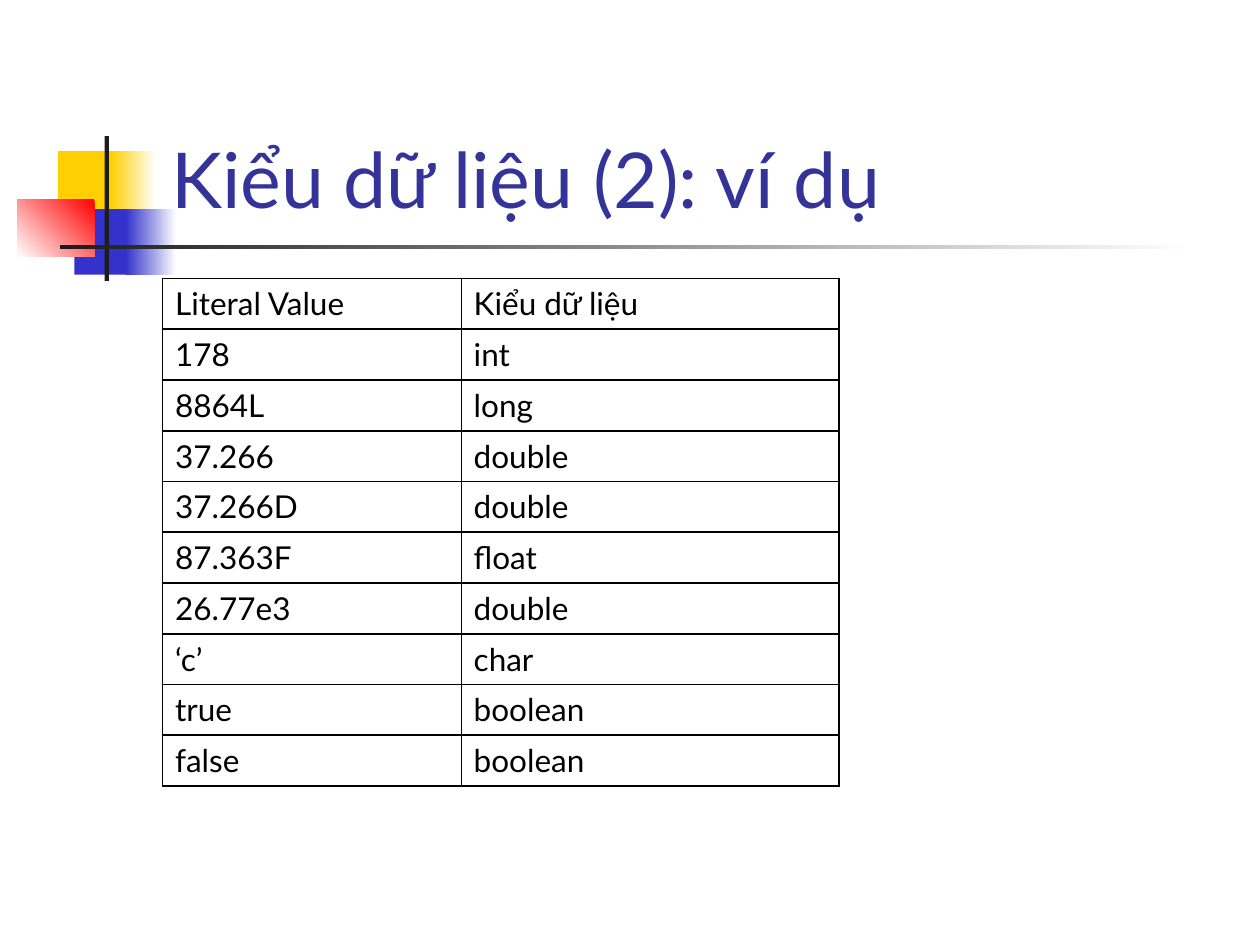
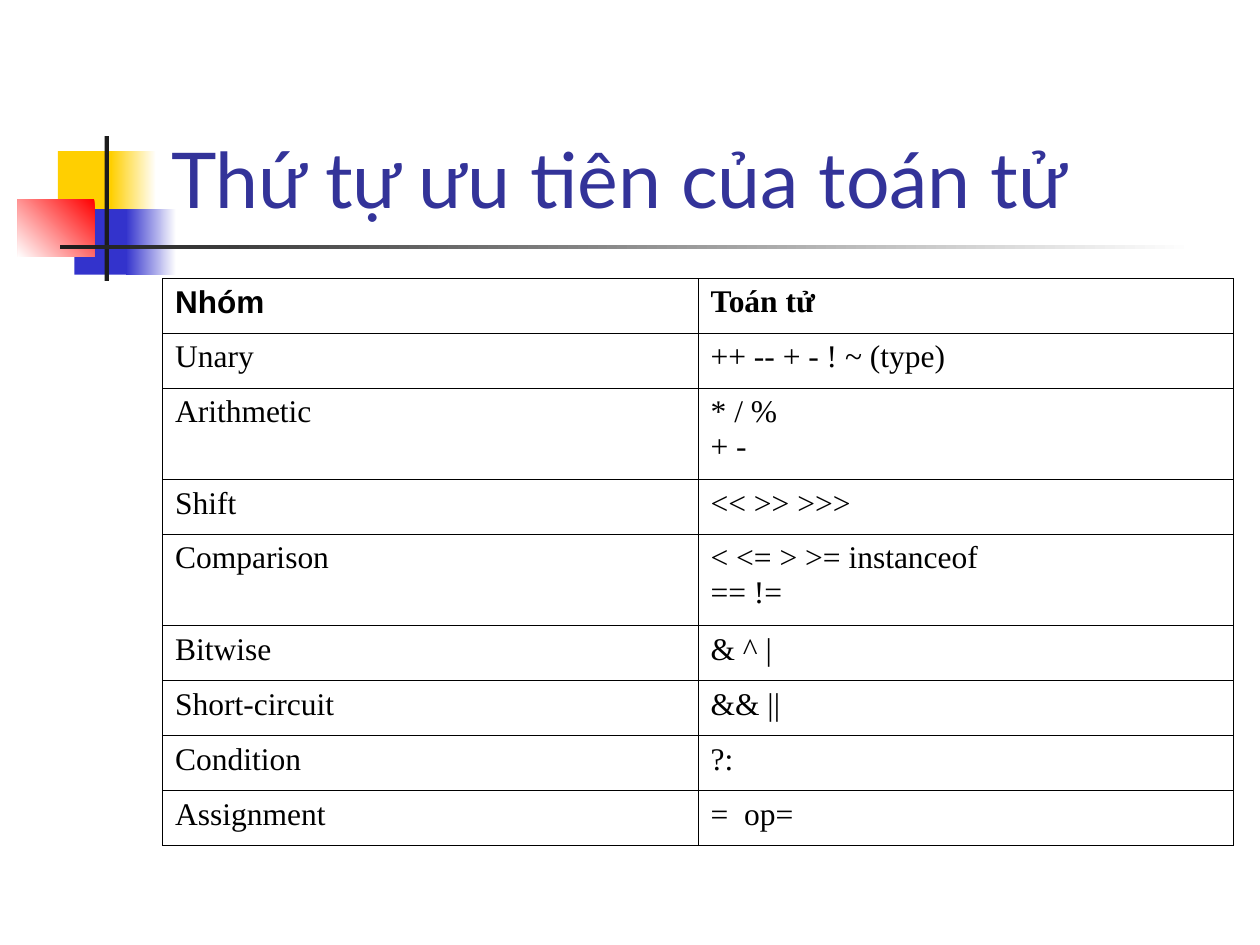
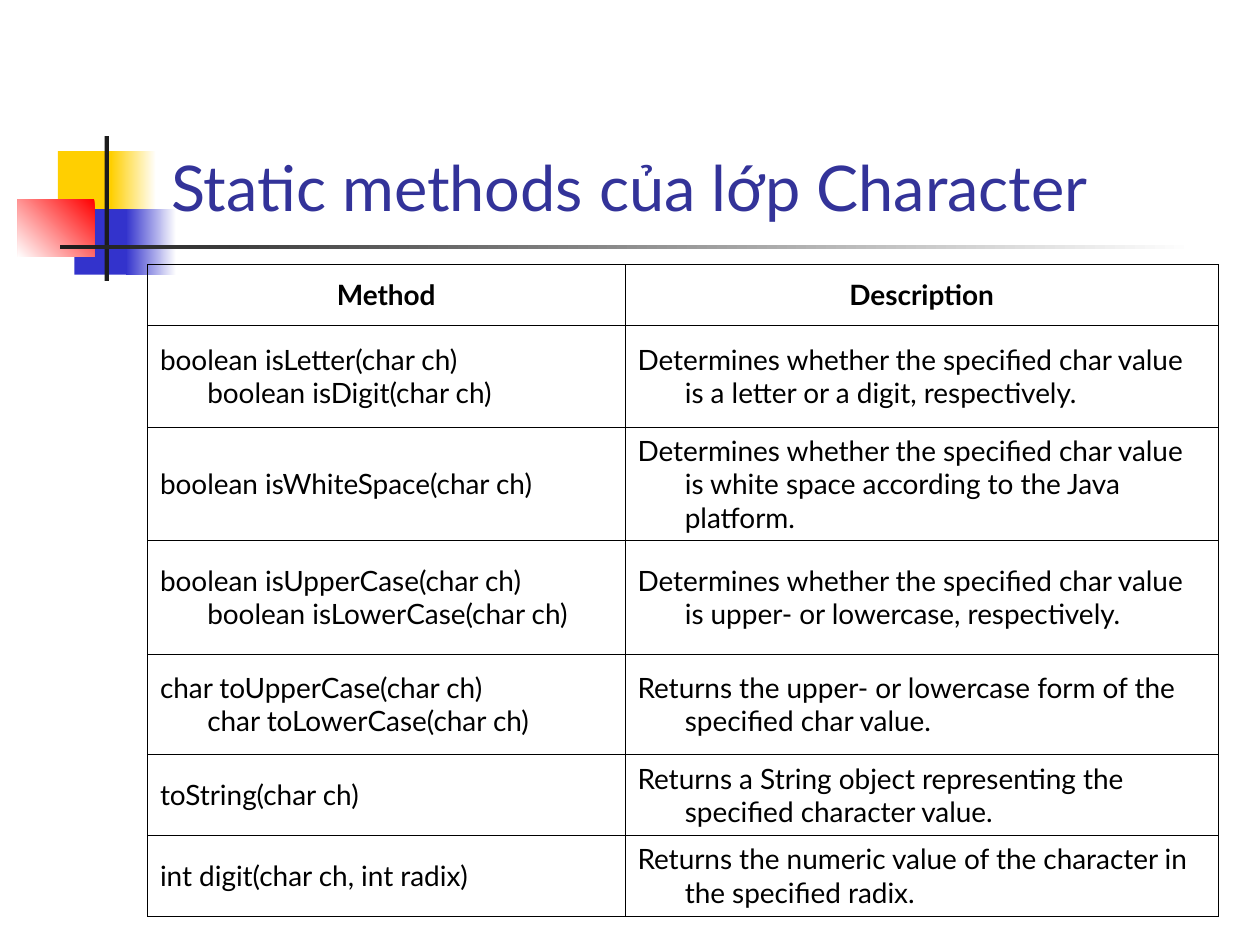
import pptx
import pptx.dml.color
import pptx.enum.shapes
import pptx.enum.text
import pptx.oxml
import pptx.oxml.ns
import pptx.util

ANCHOR = pptx.enum.text.MSO_ANCHOR
ALIGN = pptx.enum.text.PP_ALIGN

WHITE, BLACK, CHARCOAL = "FFFFFF", "000000", "1C1C1C"
YELLOW, BLUE, RED, NAVY = "FFCF01", "3333CC", "FF0000", "333399"

# Grid: 100 columns by 75 rows of square units
COLUMNS, ROWS = 100, 75

# Corner ornament: left, top, width, height, then colours and angle of the fill
ORNAMENT = [
    ((4.6, 12, 4.8, 5.2), [YELLOW], 0),
    ((8.8, 12, 3.6, 5.2), [WHITE, YELLOW], 180),
    ((5.9, 16.6, 4.6, 5.2), [BLUE], 0),
    ((10, 16.6, 4, 5.2), [WHITE, BLUE], 180),
    ((1.4, 15.8, 6.1, 4.6), [RED, WHITE], 225),
    ((8.3, 10.8, 0.35, 11.5), [CHARCOAL], 0),
    ((4.8, 19.45, 90, 0.35), [WHITE, CHARCOAL], 180),
]

LITERALS = [
    ("Literal Value", "Kiểu dữ liệu"),
    ("178", "int"),
    ("8864L", "long"),
    ("37.266", "double"),
    ("37.266D", "double"),
    ("87.363F", "float"),
    ("26.77e3", "double"),
    ("‘c’", "char"),
    ("true", "boolean"),
    ("false", "boolean"),
]

# In a cell, \n starts a paragraph and \v breaks the line
OPERATORS = [
    ("Nhóm", "Toán tử"),
    ("Unary", "++ -- + - ! ~ (type)"),
    ("Arithmetic", "* / %\n+ -"),
    ("Shift", "<< >> >>>"),
    ("Comparison", "< <= > >= instanceof\n== !="),
    ("Bitwise", "& ^ |"),
    ("Short-circuit", "&& ||"),
    ("Condition", "?:"),
    ("Assignment", "=  op="),
]

METHODS = [
    ("Method", "Description"),
    ("boolean isLetter(char ch) \vboolean isDigit(char ch)",
     "Determines whether the specified char value is a letter or a digit, respectively."),
    ("boolean isWhiteSpace(char ch)",
     "Determines whether the specified char value is white space according to the Java platform."),
    ("boolean isUpperCase(char ch) \vboolean isLowerCase(char ch)",
     "Determines whether the specified char value is upper- or lowercase, respectively."),
    ("char toUpperCase(char ch) \vchar toLowerCase(char ch)",
     "Returns the upper- or lowercase form of the specified char value."),
    ("toString(char ch)",
     "Returns a String object representing the specified character value."),
    ("int digit(char ch, int radix)",
     "Returns the numeric value of the character in the specified radix."),
]


def color(code):
    return pptx.dml.color.RGBColor.from_string(code)


class Deck:
    def __init__(self):
        self.deck = pptx.Presentation()
        self.deck.slide_width = pptx.util.Inches(10)
        self.deck.slide_height = pptx.util.Inches(7.5)
        self.page = None

    def across(self, columns):
        return round(self.deck.slide_width * columns / COLUMNS)

    def down(self, rows):
        return round(self.deck.slide_height * rows / ROWS)

    def place(self, left, top, width, height):
        return self.across(left), self.down(top), self.across(width), self.down(height)

    def add_page(self, title, size=44):
        self.page = self.deck.slides.add_slide(self.deck.slide_layouts[6])
        for area, colors, angle in ORNAMENT:
            self.block(area, colors, angle)
        self.title(title, size)

    def block(self, area, colors, angle):
        shape = self.page.shapes.add_shape(
            pptx.enum.shapes.MSO_SHAPE.RECTANGLE, *self.place(*area))
        shape.shadow.inherit = False
        shape.line.fill.background()
        if len(colors) == 1:
            shape.fill.solid()
            shape.fill.fore_color.rgb = color(colors[0])
            return
        shape.fill.gradient()
        shape.fill.gradient_angle = angle
        for stop, code in zip(shape.fill.gradient_stops, colors):
            stop.color.rgb = color(code)

    def title(self, text, size):
        box = self.page.shapes.add_textbox(*self.place(12.6, 2.3, 85.2, 16))
        frame = box.text_frame
        frame.word_wrap = True
        frame.vertical_anchor = ANCHOR.BOTTOM
        self.add_text(frame.paragraphs[0], text, "Lato", size, NAVY)

    def add_text(self, para, text, font, size, code=BLACK, bold=False):
        for index, line in enumerate(text.split("\v")):
            if index:
                para.add_line_break()
            span = para.add_run()
            span.text = line
            span.font.name = font
            span.font.size = pptx.util.Pt(size)
            span.font.bold = bold
            span.font.color.rgb = color(code)

    def border(self, cell, side, weight):
        line = pptx.oxml.parse_xml(
            f'<a:ln{side} {pptx.oxml.ns.nsdecls("a")} w="{pptx.util.Pt(weight)}">'
            f'<a:solidFill><a:srgbClr val="{BLACK}"/></a:solidFill></a:ln{side}>')
        cell._tc.get_or_add_tcPr().append(line)

    def table(self, corner, widths, heights, content, font, size, weight, inner=None,
              before=0, hanging=0, anchor=ANCHOR.TOP, header=False, header_fonts=None,
              header_align=ALIGN.LEFT):
        area = self.place(*corner, sum(widths), sum(heights))
        grid = self.page.shapes.add_table(len(content), len(widths), *area).table
        grid.first_row = grid.horz_banding = False
        for column, width in zip(grid.columns, widths):
            column.width = self.across(width)
        for row, height in zip(grid.rows, heights):
            row.height = self.down(height)

        inner = inner or weight
        last = len(widths) - 1
        for r, texts in enumerate(content):
            heading = header and r == 0
            for c, text in enumerate(texts):
                cell = grid.cell(r, c)
                cell.vertical_anchor = anchor
                self.border(cell, "L", inner if c else weight)
                self.border(cell, "R", inner if c < last else weight)
                self.border(cell, "T", weight)
                self.border(cell, "B", weight)
                cell.fill.background()
                face = header_fonts[c] if heading and header_fonts else font
                frame = cell.text_frame
                for index, line in enumerate(text.split("\n")):
                    para = frame.add_paragraph() if index else frame.paragraphs[0]
                    para.alignment = header_align if heading else ALIGN.LEFT
                    para.space_before = pptx.util.Pt(before)
                    properties = para._p.get_or_add_pPr()
                    properties.set("marL", str(self.across(hanging)))
                    properties.set("indent", str(-self.across(hanging)))
                    self.add_text(para, line, face, size, bold=heading)

    def save(self):
        self.deck.save("out.pptx")


def main():
    deck = Deck()

    # Literals and their types
    deck.add_page("Kiểu dữ liệu (2): ví dụ")
    deck.table((12.9, 22.1), [23.7, 30], [4.03] * len(LITERALS), LITERALS,
               "Lato", 18, weight=1.08, inner=0.45, before=4.5)

    # Operator precedence: rows with two lines are taller
    deck.add_page("Thứ tự ưu tiên của toán tử")
    heights = [7.25 if "\n" in operators else 4.36 for _, operators in OPERATORS]
    deck.table((12.9, 22.1), [42.5, 42.5], heights, OPERATORS,
               "Times New Roman", 18, weight=0.45, hanging=3.75, header=True,
               header_fonts=["Arial", "Times New Roman"])

    # Character methods
    deck.add_page("Static methods của lớp Character", size=36)
    deck.table((11.7, 21), [37.9, 47.1], [4.8, 8.1, 9, 9, 8, 6.4, 6.4], METHODS,
               "Lato", 16, weight=0.34, hanging=3.75, anchor=ANCHOR.MIDDLE,
               header=True, header_align=ALIGN.CENTER)

    deck.save()


if __name__ == "__main__":
    main()
